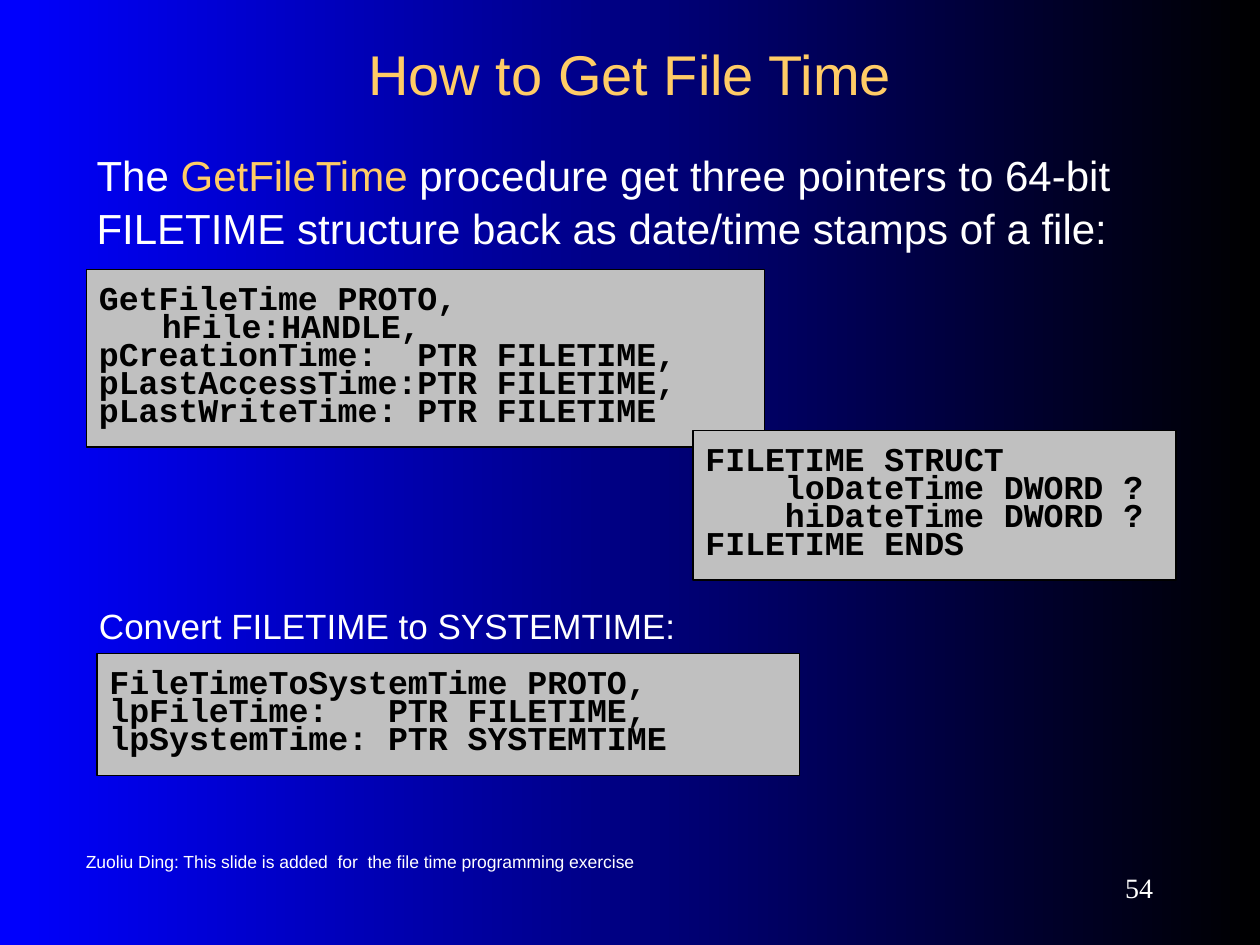
from dataclasses import dataclass

from lxml import etree
from pptx import Presentation
from pptx.dml.color import RGBColor
from pptx.enum.shapes import MSO_SHAPE
from pptx.enum.text import MSO_ANCHOR, MSO_AUTO_SIZE, PP_ALIGN
from pptx.oxml.ns import qn
from pptx.util import Pt

RECT = MSO_SHAPE.RECTANGLE
TOP, MIDDLE = MSO_ANCHOR.TOP, MSO_ANCHOR.MIDDLE
LEFT, CENTER, RIGHT = PP_ALIGN.LEFT, PP_ALIGN.CENTER, PP_ALIGN.RIGHT
NO_FIT = MSO_AUTO_SIZE.NONE

BLUE = RGBColor(0x00, 0x00, 0xFF)
BLACK = RGBColor(0x00, 0x00, 0x00)
WHITE = RGBColor(0xFF, 0xFF, 0xFF)
GOLD = RGBColor(0xFF, 0xCC, 0x66)
GRAY = RGBColor(0xC0, 0xC0, 0xC0)

TITLE_FONT = {"name": "Arial", "size": Pt(32), "bold": False}
BODY_FONT = {"name": "Arial", "size": Pt(24)}
CODE_FONT = {"name": "Courier New", "size": Pt(19), "bold": True}
CODE_TAB = Pt(36)


@dataclass
class Box:
    left: float
    top: float
    width: float
    height: float

    def emu(self) -> tuple:
        return Pt(self.left), Pt(self.top), Pt(self.width), Pt(self.height)


@dataclass
class Code:
    box: Box
    lines: list[str]


@dataclass
class Label:
    box: Box
    text: str
    font: str
    size: float
    align: PP_ALIGN = LEFT
    anchor: MSO_ANCHOR = MIDDLE


CODES = [
    Code(Box(49.5, 154, 387.5, 101.5), [
        "GetFileTime PROTO,",
        "\thFile:HANDLE,",
        "pCreationTime:  PTR FILETIME,",
        "pLastAccessTime:PTR FILETIME,",
        "pLastWriteTime: PTR FILETIME",
    ]),
    Code(Box(396, 246, 276, 85.5), [
        "FILETIME STRUCT",
        "    loDateTime DWORD ?",
        "    hiDateTime DWORD ?",
        "FILETIME ENDS",
    ]),
    Code(Box(55.5, 373.5, 401.5, 69.5), [
        "FileTimeToSystemTime PROTO,",
        "lpFileTime:   PTR FILETIME,",
        "lpSystemTime: PTR SYSTEMTIME",
    ]),
]

LABELS = [
    Label(Box(49.5, 342, 465, 31.5), "Convert FILETIME to SYSTEMTIME:",
          "Arial", 20, anchor=TOP),
    Label(Box(42, 480, 504, 24),
          "Zuoliu Ding: This slide is added  for  the file time programming exercise",
          "Arial", 10),
    Label(Box(588, 492, 78, 30), "54", "Times New Roman", 16, RIGHT),
]


def set_attrs(obj, values: dict) -> None:
    for name, value in values.items():
        setattr(obj, name, value)


def add_run(p, text: str, color: RGBColor, font: dict) -> None:
    r = p.add_run()
    r.text = text
    set_attrs(r.font, font)
    r.font.color.rgb = color


def place(sp, box: Box) -> None:
    set_attrs(sp, dict(zip(("left", "top", "width", "height"), box.emu())))


def frame(sp, anchor: MSO_ANCHOR, inset: float = 3.6):
    tf = sp.text_frame
    set_attrs(tf, {
        "word_wrap": True, "auto_size": NO_FIT, "vertical_anchor": anchor,
        "margin_left": Pt(7.2), "margin_right": Pt(7.2),
        "margin_top": Pt(inset), "margin_bottom": Pt(inset),
    })
    return tf


def add_title(s) -> None:
    sp = s.shapes.title
    place(sp, Box(54, 18, 612, 48))
    p = frame(sp, MIDDLE).paragraphs[0]
    p.alignment = CENTER
    add_run(p, "How to Get File Time", GOLD, TITLE_FONT)


def add_body(s) -> None:
    sp = s.placeholders[1]
    place(sp, Box(48, 78, 612, 66))
    p = frame(sp, TOP, 6).paragraphs[0]
    pPr = p._p.get_or_add_pPr()
    pPr.set("marL", "0")
    pPr.set("indent", "0")
    etree.SubElement(pPr, qn("a:buNone"))
    set_attrs(p, {"space_before": Pt(0), "line_spacing": 1.05})
    add_run(p, "The ", WHITE, BODY_FONT)
    add_run(p, "GetFileTime", GOLD, BODY_FONT)
    add_run(p, " procedure get three pointers to 64-bit FILETIME structure "
               "back as date/time stamps of a file:", WHITE, BODY_FONT)


def add_code(s, code: Code) -> None:
    sp = s.shapes.add_shape(RECT, *code.box.emu())
    sp.shadow.inherit = False
    sp.fill.solid()
    sp.fill.fore_color.rgb = GRAY
    sp.line.color.rgb = BLACK
    sp.line.width = Pt(0.75)
    tf = frame(sp, TOP, 10.8)
    for i, line in enumerate(code.lines):
        p = tf.add_paragraph() if i else tf.paragraphs[0]
        tabs = etree.SubElement(p._p.get_or_add_pPr(), qn("a:tabLst"))
        etree.SubElement(tabs, qn("a:tab"), pos=str(int(CODE_TAB)), algn="l")
        set_attrs(p, {"alignment": LEFT, "line_spacing": 0.7})
        add_run(p, line, BLACK, CODE_FONT)


def add_label(s, label: Label) -> None:
    sp = s.shapes.add_textbox(*label.box.emu())
    p = frame(sp, label.anchor).paragraphs[0]
    p.alignment = label.align
    add_run(p, label.text, WHITE, {"name": label.font, "size": Pt(label.size)})


def main() -> None:
    prs = Presentation()
    prs.slide_width, prs.slide_height = Pt(720), Pt(540)
    s = prs.slides.add_slide(prs.slide_layouts[1])
    fill = s.background.fill
    fill.gradient()
    fill.gradient_angle = 0
    for stop, color in zip(fill.gradient_stops, (BLUE, BLACK)):
        stop.color.rgb = color
    add_title(s)
    add_body(s)
    for code in CODES:
        add_code(s, code)
    for label in LABELS:
        add_label(s, label)
    prs.save("out.pptx")


if __name__ == "__main__":
    main()
